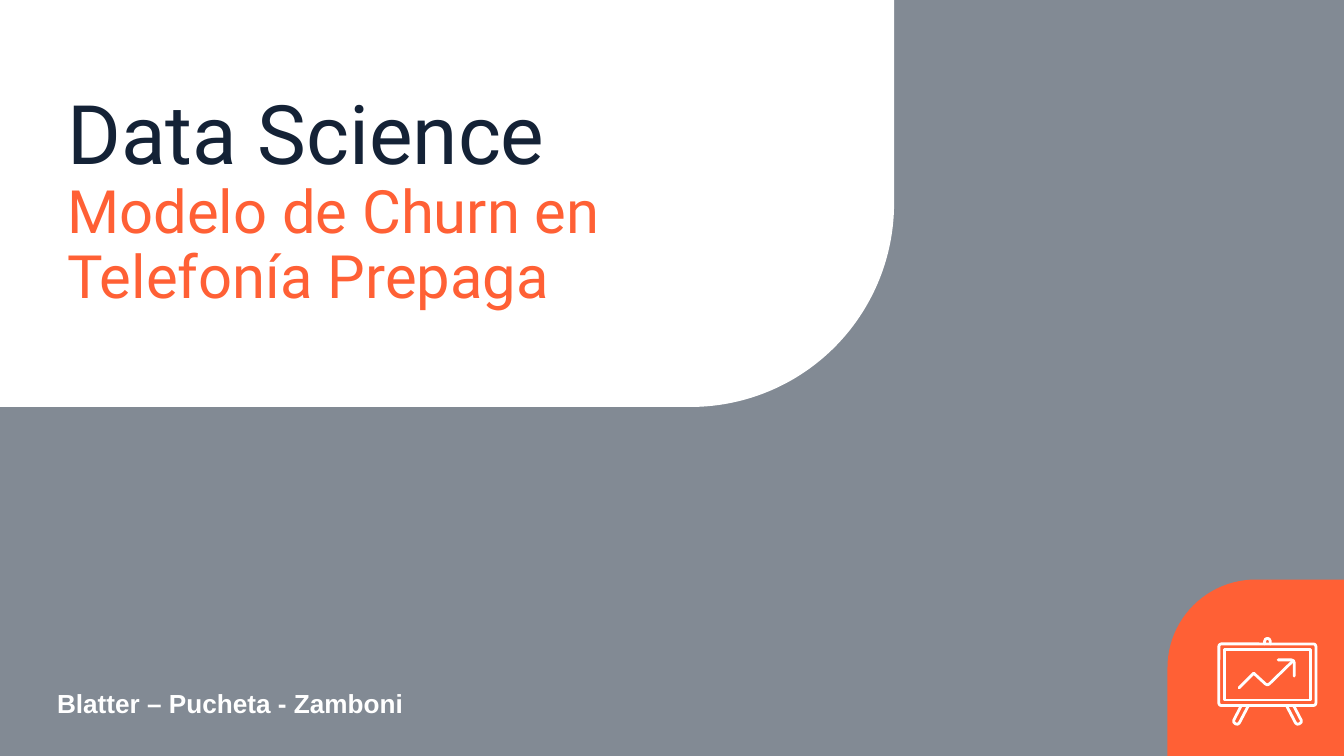
import pptx
import pptx.util
import pptx.dml.color
import pptx.enum.shapes
import pptx.enum.text
import pptx.oxml
import pptx.oxml.ns
from dataclasses import dataclass

Pt = pptx.util.Pt
qn = pptx.oxml.ns.qn
SHAPES = pptx.enum.shapes.MSO_SHAPE
ANCHOR = pptx.enum.text.MSO_ANCHOR
ALIGN = pptx.enum.text.PP_ALIGN
AUTOSIZE = pptx.enum.text.MSO_AUTO_SIZE


@dataclass(frozen=True)
class Theme:
    navy: str = "142236"
    orange: str = "FF6035"
    white: str = "FFFFFF"
    veil_opacity: int = 53
    heading_font: str = "Roboto"
    body_font: str = "Arial"
    heading_size: float = 44
    subject_size: float = 32
    authors_size: float = 14
    icon_line: float = 1.5


THEME = Theme()


def rgb(color):
    return pptx.dml.color.RGBColor.from_string(color)


def apply(target, values):
    for attribute, value in values.items():
        setattr(target, attribute, value)


def add_run(paragraph, text, size, font, color, bold=False):
    run = paragraph.add_run()
    run.text = text
    apply(run.font, {"size": Pt(size), "name": font, "bold": bold})
    run.font.color.rgb = rgb(color)


def add_panel(slide, box, preset, color):
    panel = slide.shapes.add_shape(preset, *map(Pt, box))
    panel.shadow.inherit = False
    panel.fill.solid()
    panel.fill.fore_color.rgb = rgb(color)
    panel.line.fill.background()
    return panel


def add_veil(slide, box):
    veil = add_panel(slide, box, SHAPES.RECTANGLE, THEME.navy)
    tint = veil._element.spPr.find(".//" + qn("a:srgbClr"))
    alpha = pptx.oxml.parse_xml(f"<a:alpha {pptx.oxml.ns.nsdecls('a')}/>")
    alpha.set("val", str(THEME.veil_opacity * 1000))
    tint.append(alpha)


def add_corner(slide, box, color, rotation=0):
    corner = add_panel(slide, box, SHAPES.ROUND_1_RECTANGLE, color)
    corner.adjustments[0] = 0.5
    corner.rotation = rotation
    corner._element.spPr.get_or_add_xfrm().set("flipH", "1")


def add_title(slide, box):
    title = slide.shapes.title
    slide.shapes._spTree.append(title._element)
    apply(title, dict(zip(("left", "top", "width", "height"), map(Pt, box))))
    apply(title.text_frame, {
        "margin_left": 0, "margin_top": 0, "margin_right": 0, "margin_bottom": 0,
        "vertical_anchor": ANCHOR.MIDDLE, "word_wrap": True, "auto_size": AUTOSIZE.NONE,
    })
    heading = title.text_frame.paragraphs[0]
    apply(heading, {"alignment": ALIGN.LEFT, "line_spacing": 0.9})
    add_run(heading, "Data Science ", THEME.heading_size, THEME.heading_font, THEME.navy)
    heading.add_line_break()
    add_run(heading, "Modelo de Churn en Telefonía Prepaga",
            THEME.subject_size, THEME.heading_font, THEME.orange)


def outline(part):
    part.shadow.inherit = False
    part.fill.background()
    part.line.color.rgb = rgb(THEME.white)
    part.line.width = Pt(THEME.icon_line)
    stroke = part._element.spPr.find(qn("a:ln"))
    stroke.set("cap", "rnd")
    stroke.append(pptx.oxml.parse_xml(f"<a:round {pptx.oxml.ns.nsdecls('a')}/>"))


def add_board_icon(slide, box):
    left, top, width, height = box
    icon = slide.shapes.add_group_shape()

    frame = icon.shapes.add_shape(SHAPES.ROUNDED_RECTANGLE, Pt(left), Pt(top + 3),
                                  Pt(width), Pt(33))
    frame.adjustments[0] = 0.04
    screen = icon.shapes.add_shape(SHAPES.RECTANGLE, Pt(left + 3), Pt(top + 6),
                                   Pt(width - 6), Pt(27))
    for part in (frame, screen):
        outline(part)

    leg = [(12, 36), (7.9, 43.9), (7.9, 44.9), (8.9, 45.8), (10, height), (10.9, 45.4), (15.8, 36)]
    knob = [(24.5, 3), (24.5, 1.4), (25, 0.4), (26, 0), (27, 0.4), (27.5, 1.4), (27.5, 3)]
    trend = [(39.6, 12.2), (27, 24.5), (26, 25), (25, 24.5), (18.7, 18.7), (10.8, 26.6)]
    arrowhead = [(31.7, 11.5), (38.9, 11.5), (40, 12), (40.3, 13), (40.3, 20.2)]
    mirrored_leg = [(width - x, y) for x, y in leg]

    for stroke in (knob, leg, mirrored_leg, trend, arrowhead):
        points = [(Pt(left + x), Pt(top + y)) for x, y in stroke]
        builder = icon.shapes.build_freeform(*points[0])
        builder.add_line_segments(points[1:], close=False)
        outline(builder.convert_to_shape())


def add_authors(slide, box):
    authors = slide.shapes.add_textbox(*map(Pt, box)).text_frame
    apply(authors, {"word_wrap": True, "auto_size": AUTOSIZE.SHAPE_TO_FIT_TEXT})
    add_run(authors.paragraphs[0], "Blatter – Pucheta - Zamboni",
            THEME.authors_size, THEME.body_font, THEME.white, bold=True)


def build_cover(presentation, box):
    left, top, width, height = box
    right, bottom = left + width, top + height
    slide = presentation.slides.add_slide(presentation.slide_layouts[0])
    subtitle = slide.placeholders[1]._element
    subtitle.getparent().remove(subtitle)

    badge = 94.5
    add_veil(slide, box)
    add_corner(slide, (left, top, 479, 218), THEME.white, rotation=180)
    add_corner(slide, (right - badge, bottom - badge, badge, badge), THEME.orange)
    add_title(slide, (left + 36, top + 36, 405, 145))
    add_board_icon(slide, (right - 67, bottom - 63, 52, 46))
    add_authors(slide, (left + 23.5, bottom - 40.5, 216, 24))


def main():
    presentation = pptx.Presentation()
    width, height = 720, 405
    apply(presentation, {"slide_width": Pt(width), "slide_height": Pt(height)})
    build_cover(presentation, (0, 0, width, height))
    presentation.save("out.pptx")


if __name__ == "__main__":
    main()
